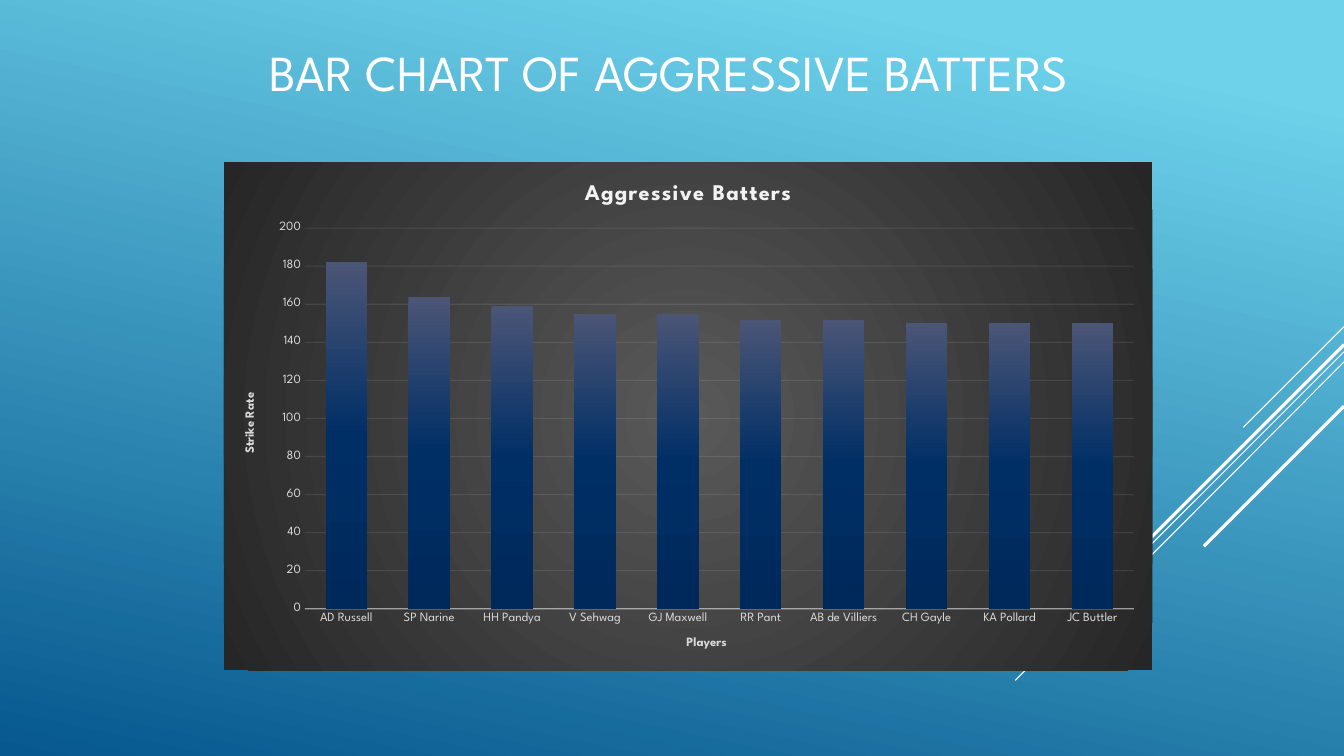
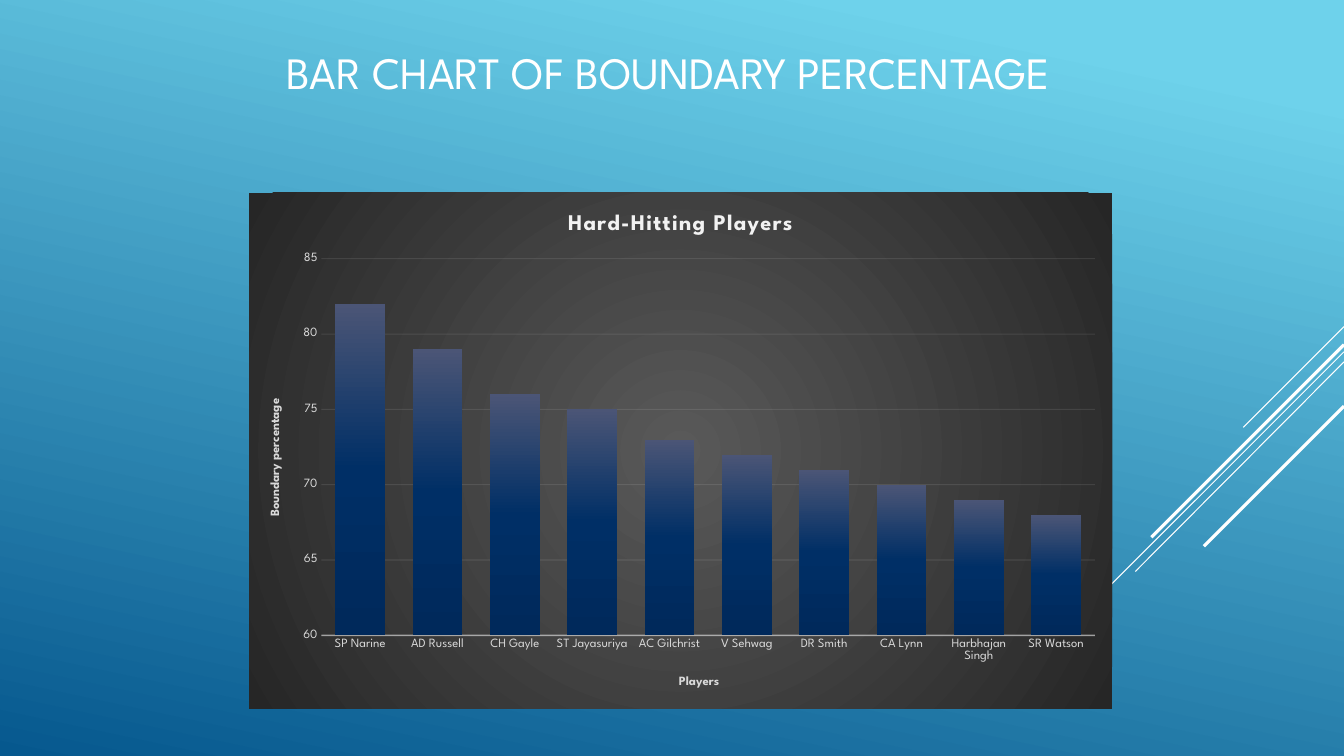
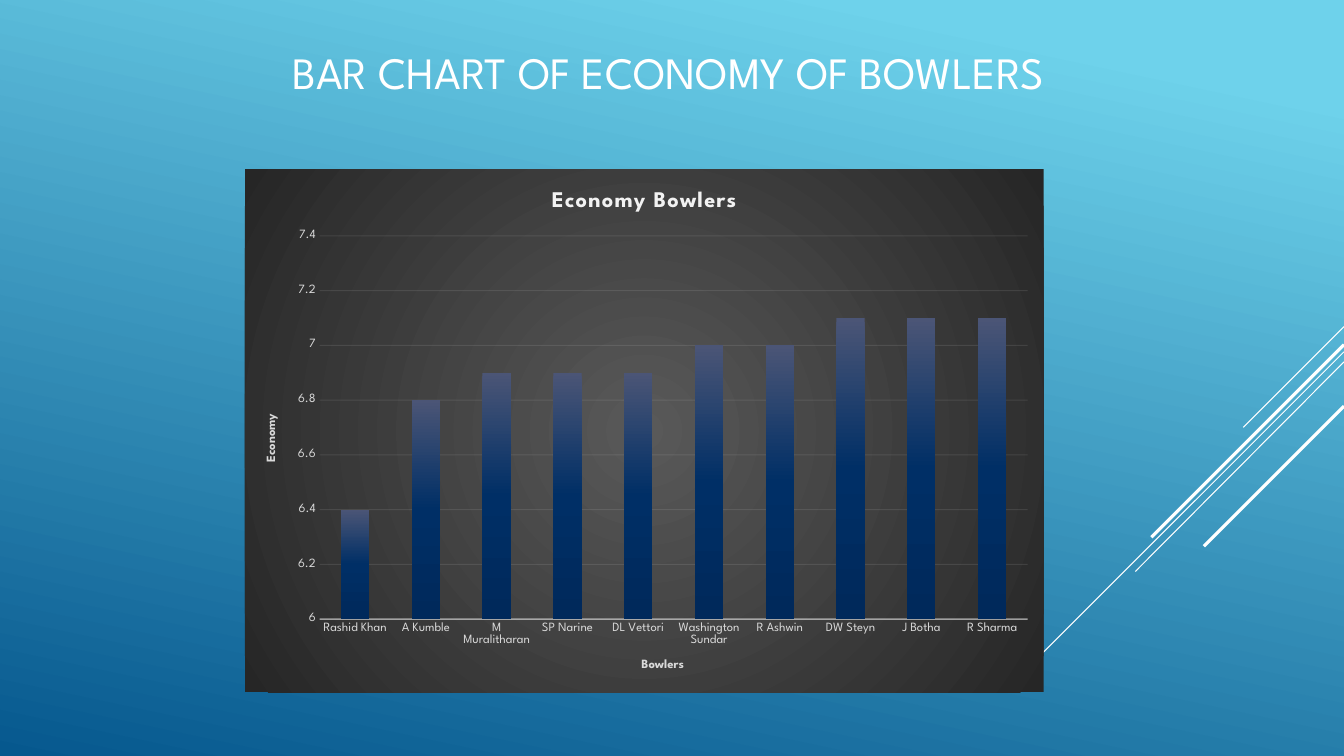
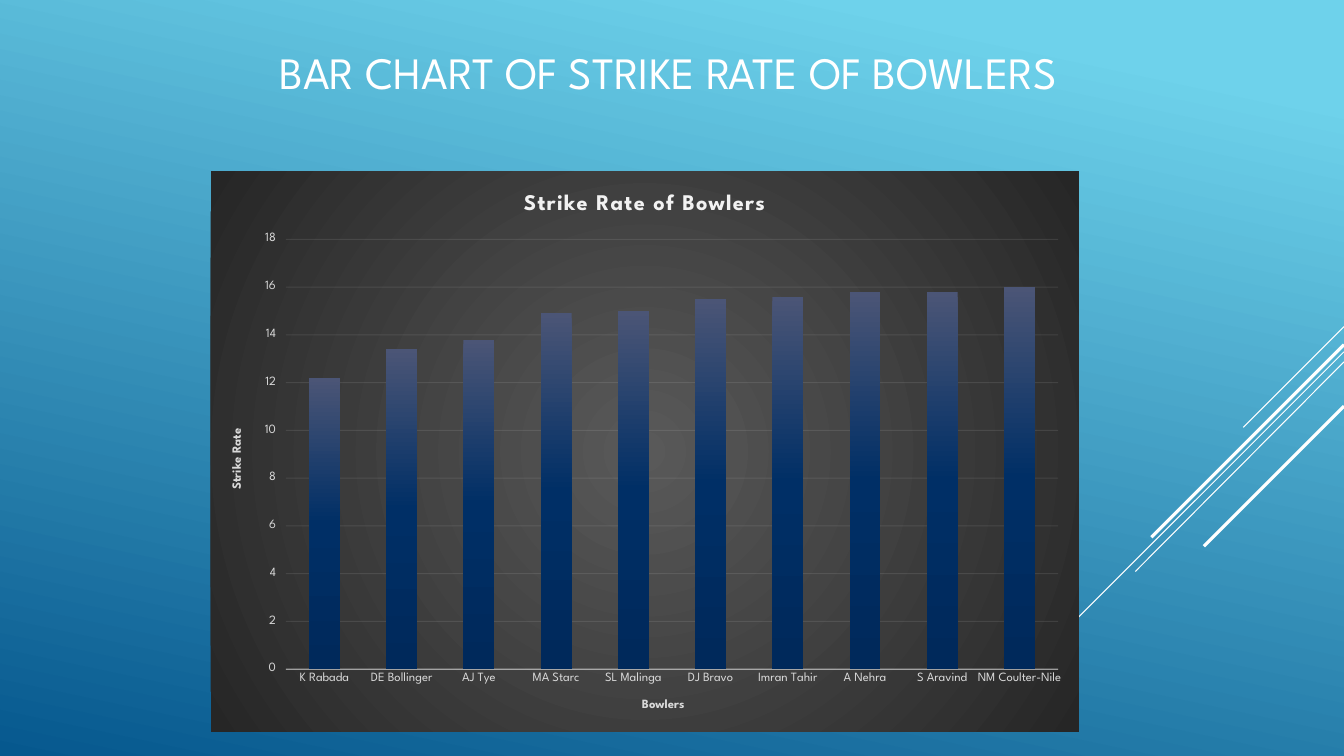
from dataclasses import dataclass
from typing import Any

from lxml import etree
from pptx import Presentation
from pptx.chart.data import CategoryChartData
from pptx.dml.color import RGBColor
from pptx.enum.chart import XL_CHART_TYPE, XL_TICK_MARK
from pptx.enum.shapes import MSO_CONNECTOR
from pptx.enum.text import MSO_ANCHOR, PP_ALIGN
from pptx.oxml.ns import qn
from pptx.util import Inches, Pt

CLUSTERED = XL_CHART_TYPE.COLUMN_CLUSTERED
STACKED = XL_CHART_TYPE.COLUMN_STACKED
TICK_NONE = XL_TICK_MARK.NONE
TICK_OUT = XL_TICK_MARK.OUTSIDE
STRAIGHT = MSO_CONNECTOR.STRAIGHT
MIDDLE = MSO_ANCHOR.MIDDLE
CENTER = PP_ALIGN.CENTER

# Colours
WHITE = RGBColor(0xFF, 0xFF, 0xFF)
PALE = RGBColor(0xF2, 0xF2, 0xF2)
LABEL_GREY = RGBColor(0xD9, 0xD9, 0xD9)
SKY = RGBColor(0x6E, 0xD2, 0xEB)
OCEAN = RGBColor(0x06, 0x58, 0x8E)
PANEL_CENTER = RGBColor(0x59, 0x59, 0x59)
PANEL_EDGE = RGBColor(0x26, 0x26, 0x26)
BAR_TOP = RGBColor(0x4B, 0x55, 0x76)
BAR_MIDDLE = RGBColor(0x00, 0x2F, 0x66)
BAR_BOTTOM = RGBColor(0x00, 0x29, 0x5B)

# Gradient stops: position in percent, colour
Stops = list[tuple[int, RGBColor]]
PAGE_STOPS: Stops = [(10, SKY), (100, OCEAN)]
PANEL_STOPS: Stops = [(0, PANEL_CENTER), (100, PANEL_EDGE)]
BAR_STOPS: Stops = [(0, BAR_TOP), (50, BAR_MIDDLE), (100, BAR_BOTTOM)]

# Text formats
FONT = "League Spartan"
PAGE_TITLE = {"name": FONT, "bold": False}
CHART_TEXT = {"name": FONT, "size": Pt(10)}
CHART_TITLE = {"name": FONT, "size": Pt(16), "bold": True}
AXIS_TITLE = {"name": FONT, "size": Pt(9), "bold": True}
AXIS_LABELS = {"name": FONT, "size": Pt(9), "bold": False}
TITLE_BOX = {"left": Inches(1.97), "top": Inches(0.24),
             "width": Inches(9.33), "height": Inches(0.94)}
PAGE_WIDTH = 13.33


@dataclass
class Streak:
    """A diagonal line from the right page edge."""
    right_y: float
    left_x: float
    left_y: float
    weight: float


@dataclass
class ChartPage:
    title: str
    title_size: int
    box: tuple[float, float, float, float]
    chart_title: str
    category_title: str
    value_title: str
    scale: tuple[float, float, float]  # minimum, maximum, step
    bars: dict[str, float]
    gap: int = 150
    overlap: int = 0
    kind: Any = CLUSTERED
    value_tick: Any = TICK_NONE


STREAKS = [
    Streak(3.24, 12.33, 4.24, 0.75),
    Streak(3.49, 10.07, 6.75, 0.75),
    Streak(3.59, 11.26, 5.67, 0.75),
    Streak(3.42, 11.42, 5.33, 2.25),
    Streak(4.03, 11.94, 5.42, 2.25),
]

PAGES = [
    ChartPage(
        "BAR CHART OF AGGRESSIVE BATTERS", 36, (2.22, 1.61, 9.21, 5.04),
        "Aggressive Batters", "Players", "Strike Rate", (0, 200, 20),
        {"AD Russell": 182, "SP Narine": 164, "HH Pandya": 159,
         "V Sehwag": 155, "GJ Maxwell": 155, "RR Pant": 152,
         "AB de Villiers": 152, "CH Gayle": 150, "KA Pollard": 150,
         "JC Buttler": 150},
        gap=100, overlap=-24),
    ChartPage(
        "BAR CHART OF BOUNDARY PERCENTAGE", 32, (2.47, 1.91, 8.56, 5.12),
        "Hard-Hitting Players", "Players", "Boundary percentage", (60, 85, 5),
        {"SP Narine": 82, "AD Russell": 79, "CH Gayle": 76,
         "ST Jayasuriya": 75, "AC Gilchrist": 73, "V Sehwag": 72,
         "DR Smith": 71, "CA Lynn": 70, "Harbhajan Singh": 69,
         "SR Watson": 68},
        gap=55, overlap=100, kind=STACKED),
    ChartPage(
        "BAR CHART OF ECONOMY OF BOWLERS", 32, (2.43, 1.68, 7.92, 5.19),
        "Economy Bowlers", "Bowlers", "Economy", (6, 7.4, 0.2),
        {"Rashid Khan": 6.4, "A Kumble": 6.8, "M Muralitharan": 6.9,
         "SP Narine": 6.9, "DL Vettori": 6.9, "Washington Sundar": 7,
         "R Ashwin": 7, "DW Steyn": 7.1, "J Botha": 7.1, "R Sharma": 7.1}),
    ChartPage(
        "BAR CHART OF STRIKE RATE OF BOWLERS", 32, (2.09, 1.7, 8.61, 5.56),
        "Strike Rate of Bowlers", "Bowlers", "Strike Rate", (0, 18, 2),
        {"K Rabada": 12.2, "DE Bollinger": 13.4, "AJ Tye": 13.8,
         "MA Starc": 14.9, "SL Malinga": 15, "DJ Bravo": 15.5,
         "Imran Tahir": 15.6, "A Nehra": 15.8, "S Aravind": 15.8,
         "NM Coulter-Nile": 16},
        value_tick=TICK_OUT),
]


def set_format(target: Any, values: dict[str, Any]) -> None:
    for name, value in values.items():
        setattr(target, name, value)


def set_font(font: Any, values: dict[str, Any], color: RGBColor) -> None:
    set_format(font, values)
    font.color.rgb = color


def make_gradient(stops: Stops, angle: int | None = None) -> Any:
    """Linear at an angle in degrees, or circular from the centre."""
    gradient = etree.Element(qn("a:gradFill"), rotWithShape="1")
    stop_list = etree.SubElement(gradient, qn("a:gsLst"))
    for position, color in stops:
        stop = etree.SubElement(stop_list, qn("a:gs"), pos=str(position * 1000))
        etree.SubElement(stop, qn("a:srgbClr"), val=str(color))
    if angle is None:
        circle = etree.SubElement(gradient, qn("a:path"), path="circle")
        etree.SubElement(circle, qn("a:fillToRect"),
                         l="50000", t="50000", r="50000", b="50000")
    else:
        etree.SubElement(gradient, qn("a:lin"), ang=str(angle * 60000), scaled="0")
    return gradient


def replace_fill(solid: Any, gradient: Any) -> None:
    solid.getparent().replace(solid, gradient)


def set_line(chart_format: Any, weight: float, opacity: int) -> None:
    chart_format.line.color.rgb = PALE
    chart_format.line.width = Pt(weight)
    color = chart_format.element.xpath("c:spPr/a:ln/a:solidFill/a:srgbClr")[0]
    etree.SubElement(color, qn("a:alpha"), val=str(opacity * 1000))


def set_title(title: Any, text: str, values: dict[str, Any], color: RGBColor) -> None:
    title.text_frame.text = text
    set_font(title.text_frame.paragraphs[0].runs[0].font, values, color)


def style_master(deck: Any, layout: Any) -> None:
    """Background and title place shared by all slides."""
    master = deck.slide_master
    master.background.fill.solid()
    replace_fill(master.element.xpath("p:cSld/p:bg/p:bgPr/a:solidFill")[0],
                 make_gradient(PAGE_STOPS, 102))
    set_format(layout.placeholders[0], TITLE_BOX)


def add_streaks(page: Any, master: Any) -> None:
    """Draw the diagonals, then hand them to the master."""
    for streak in STREAKS:
        line = page.shapes.add_connector(
            STRAIGHT, Inches(PAGE_WIDTH), Inches(streak.right_y),
            Inches(streak.left_x), Inches(streak.left_y))
        line.line.color.rgb = WHITE
        line.line.width = Pt(streak.weight)
        etree.SubElement(line.element.spPr, qn("a:effectLst"))
        master.shapes.element.append(line.element)


def style_axis(axis: Any, title: str, tick: Any) -> None:
    set_title(axis.axis_title, title, AXIS_TITLE, LABEL_GREY)
    set_font(axis.tick_labels.font, AXIS_LABELS, LABEL_GREY)
    axis.major_tick_mark = tick
    axis.minor_tick_mark = TICK_NONE


def add_bar_chart(page: Any, content: ChartPage) -> None:
    data = CategoryChartData()
    data.categories = list(content.bars)
    data.add_series("Series 1", list(content.bars.values()))
    box = [Inches(length) for length in content.box]
    chart = page.shapes.add_chart(content.kind, *box, data).chart
    chart.has_legend = False
    set_font(chart.font, CHART_TEXT, WHITE)

    # Panel behind the plot
    panel = etree.Element(qn("c:spPr"))
    panel.append(make_gradient(PANEL_STOPS))
    border = etree.SubElement(panel, qn("a:ln"))
    etree.SubElement(border, qn("a:noFill"))
    chart.element.xpath("c:txPr")[0].addprevious(panel)

    # Title with wide letter spacing
    set_title(chart.chart_title, content.chart_title, CHART_TITLE, PALE)
    chart.element.xpath("c:chart/c:title//a:r/a:rPr")[0].set("spc", "100")

    # Bars
    plot = chart.plots[0]
    set_format(plot, {"gap_width": content.gap, "overlap": content.overlap,
                      "vary_by_categories": False})
    bar_format = plot.series[0].format
    bar_format.fill.solid()
    replace_fill(bar_format.element.xpath("c:spPr/a:solidFill")[0],
                 make_gradient(BAR_STOPS, 90))

    # Axes
    categories, values = chart.category_axis, chart.value_axis
    style_axis(categories, content.category_title, TICK_NONE)
    set_line(categories.format, 1, 54)
    style_axis(values, content.value_title, content.value_tick)
    low, high, step = content.scale
    set_format(values, {"minimum_scale": low, "maximum_scale": high,
                        "major_unit": step, "has_major_gridlines": True})
    values.format.line.fill.background()
    set_line(values.major_gridlines.format, 0.75, 10)
    turned = values.format.element.xpath("c:title//a:bodyPr")[0]
    turned.set("rot", "-5400000")
    turned.set("vert", "horz")


def add_page(deck: Any, layout: Any, content: ChartPage) -> Any:
    page = deck.slides.add_slide(layout)
    frame = page.shapes.title.text_frame
    frame.text = content.title
    frame.vertical_anchor = MIDDLE
    para = frame.paragraphs[0]
    para.alignment = CENTER
    set_font(para.runs[0].font, PAGE_TITLE | {"size": Pt(content.title_size)}, WHITE)
    add_bar_chart(page, content)
    return page


def main() -> None:
    deck = Presentation()
    deck.slide_width, deck.slide_height = Inches(PAGE_WIDTH), Inches(7.5)
    layout = deck.slide_layouts.get_by_name("Title Only")
    style_master(deck, layout)
    pages = [add_page(deck, layout, content) for content in PAGES]
    add_streaks(pages[0], deck.slide_master)
    deck.save("out.pptx")


if __name__ == "__main__":
    main()
